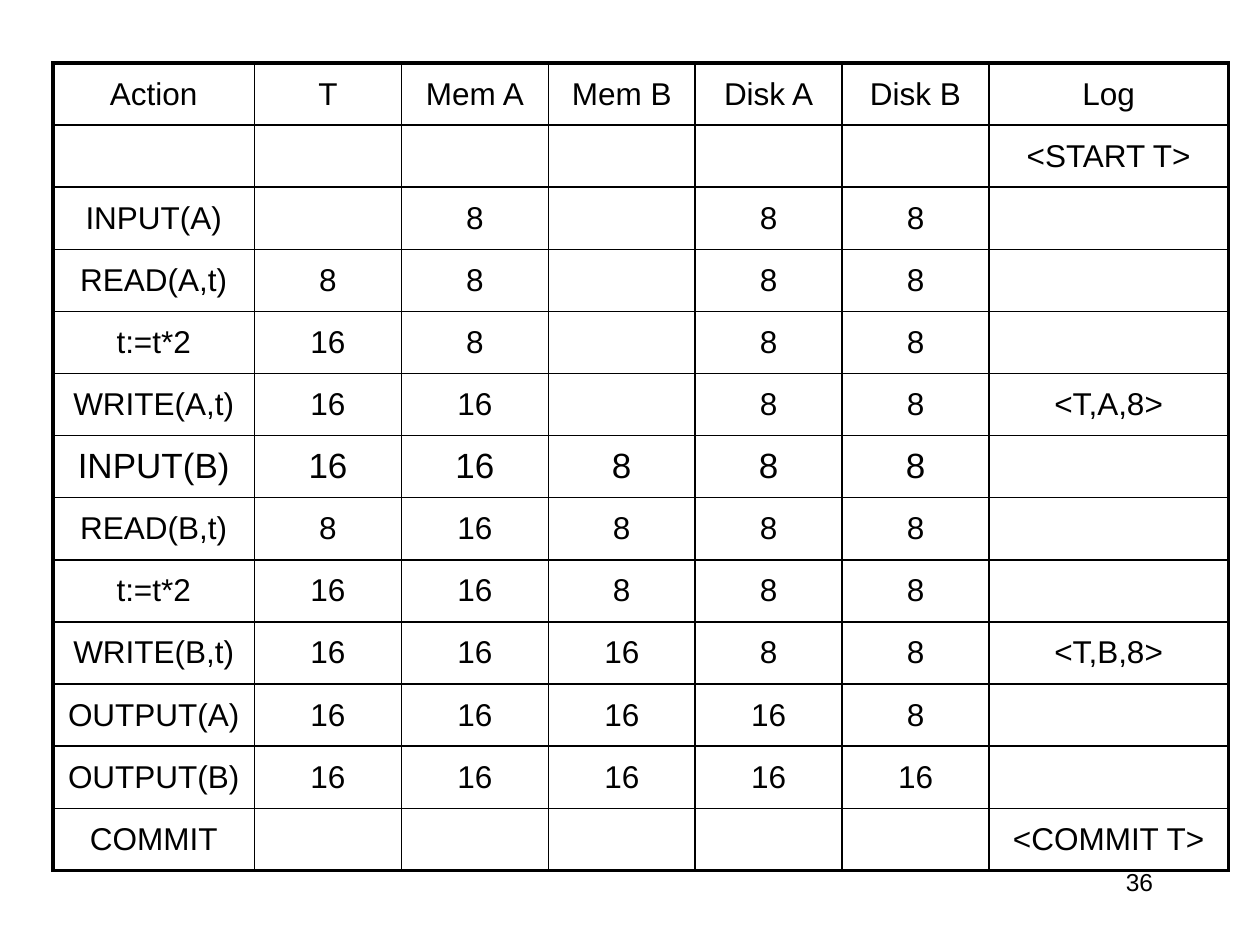
from lxml import etree
from pptx import Presentation
from pptx.dml.color import RGBColor
from pptx.enum.text import MSO_ANCHOR, PP_ALIGN
from pptx.oxml.ns import qn
from pptx.util import Inches, Pt

CENTER, RIGHT = PP_ALIGN.CENTER, PP_ALIGN.RIGHT
MIDDLE = MSO_ANCHOR.MIDDLE
BLACK = "000000"
INNER_LINE, OUTER_LINE = 1, 2.25
BODY_SIZE, LARGE_SIZE, NUMBER_SIZE = 18, 20, 14
LARGE_ROW = "INPUT(B)"
FIRST_WIDTH, LAST_WIDTH = 1.6, 1.9

ROWS = [
    ("Action", "T", "Mem A", "Mem B", "Disk A", "Disk B", "Log"),
    ("", "", "", "", "", "", "<START T>"),
    ("INPUT(A)", "", "8", "", "8", "8", ""),
    ("READ(A,t)", "8", "8", "", "8", "8", ""),
    ("t:=t*2", "16", "8", "", "8", "8", ""),
    ("WRITE(A,t)", "16", "16", "", "8", "8", "<T,A,8>"),
    ("INPUT(B)", "16", "16", "8", "8", "8", ""),
    ("READ(B,t)", "8", "16", "8", "8", "8", ""),
    ("t:=t*2", "16", "16", "8", "8", "8", ""),
    ("WRITE(B,t)", "16", "16", "16", "8", "8", "<T,B,8>"),
    ("OUTPUT(A)", "16", "16", "16", "16", "8", ""),
    ("OUTPUT(B)", "16", "16", "16", "16", "16", ""),
    ("COMMIT", "", "", "", "", "", "<COMMIT T>"),
]


def color(value):
    """Turn a hex string into a colour."""
    return RGBColor.from_string(value)


def write(frame, text, size, align):
    """Put one formatted line of text in a text frame."""
    frame.text = text
    para = frame.paragraphs[0]
    para.alignment = align
    for span in para.runs:
        span.font.name = "Arial"
        span.font.size = Pt(size)
        span.font.color.rgb = color(BLACK)


def set_borders(cell, widths):
    """Draw the left, right, top and bottom borders, widths in points."""
    properties = cell._tc.get_or_add_tcPr()
    for index, (side, width) in enumerate(zip("LRTB", widths)):
        line = etree.Element(qn("a:ln" + side), w=str(Pt(width)))
        fill = etree.SubElement(line, qn("a:solidFill"))
        etree.SubElement(fill, qn("a:srgbClr"), val=BLACK)
        properties.insert(index, line)


def add_log_table(page, left, top, width, height):
    """Add the transaction table, with a heavy frame, in the given box."""
    row_count, column_count = len(ROWS), len(ROWS[0])
    table = page.shapes.add_table(
        row_count, column_count,
        Inches(left), Inches(top), Inches(width), Inches(height)).table
    table.first_row = table.horz_banding = False
    middle_width = (width - FIRST_WIDTH - LAST_WIDTH) / (column_count - 2)
    widths = [FIRST_WIDTH] + [middle_width] * (column_count - 2) + [LAST_WIDTH]
    for column, column_width in zip(table.columns, widths):
        column.width = Inches(column_width)

    for row, texts in enumerate(ROWS):
        table.rows[row].height = Inches(height / row_count)
        size = LARGE_SIZE if texts[0] == LARGE_ROW else BODY_SIZE
        for column, text in enumerate(texts):
            cell = table.cell(row, column)
            cell.fill.background()
            cell.vertical_anchor = MIDDLE
            write(cell.text_frame, text, size, CENTER)
            on_edge = (column == 0, column == column_count - 1,
                       row == 0, row == row_count - 1)
            set_borders(cell, [OUTER_LINE if edge else INNER_LINE
                               for edge in on_edge])


def add_page_number(page, left, top, width, height):
    """Add the right-aligned page number in the given box."""
    box = page.shapes.add_textbox(
        Inches(left), Inches(top), Inches(width), Inches(height))
    box.text_frame.word_wrap = True
    write(box.text_frame, "36", NUMBER_SIZE, RIGHT)


def main():
    """Build the deck and save it."""
    deck = Presentation()
    deck.slide_width, deck.slide_height = Inches(10), Inches(7.5)
    page = deck.slides.add_slide(deck.slide_layouts.get_by_name("Blank"))
    add_page_number(page, 7.17, 6.83, 2.08, 0.5)
    add_log_table(page, 0.42, 0.5, 9.33, 6.41)
    deck.save("out.pptx")


main()
